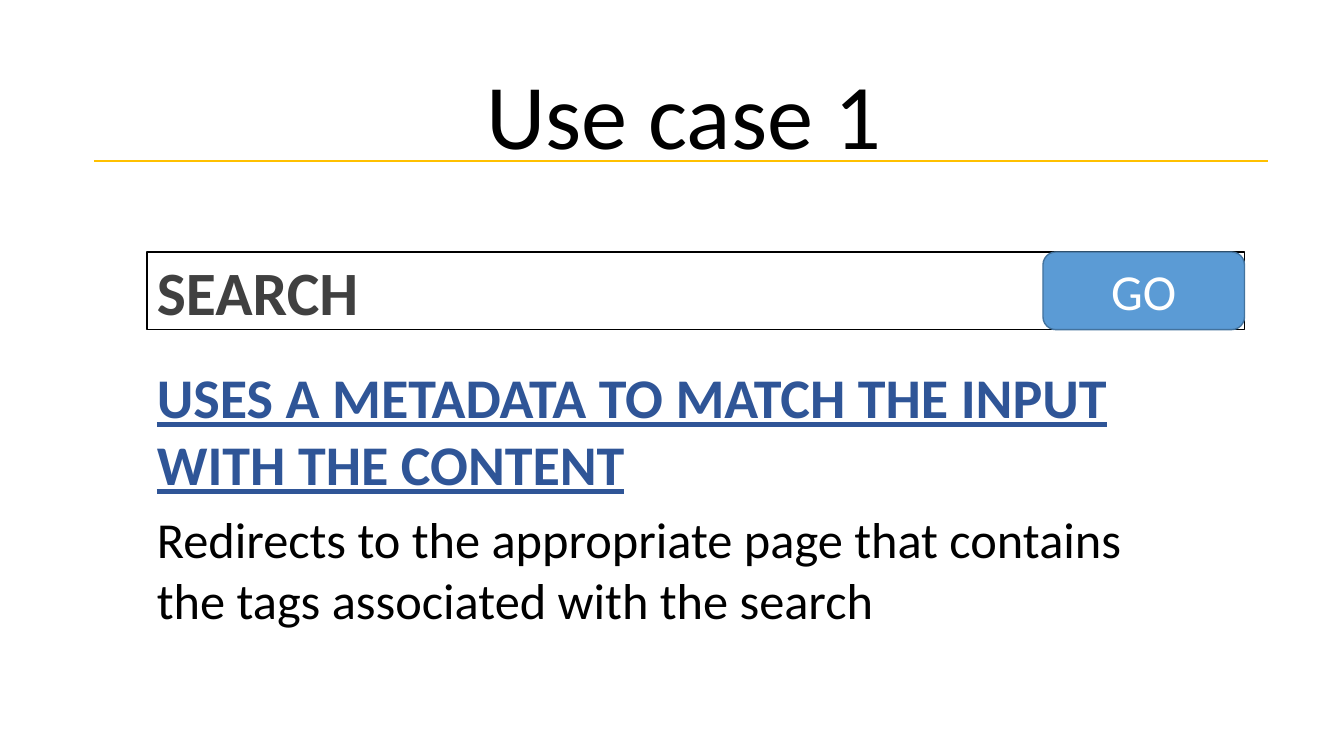
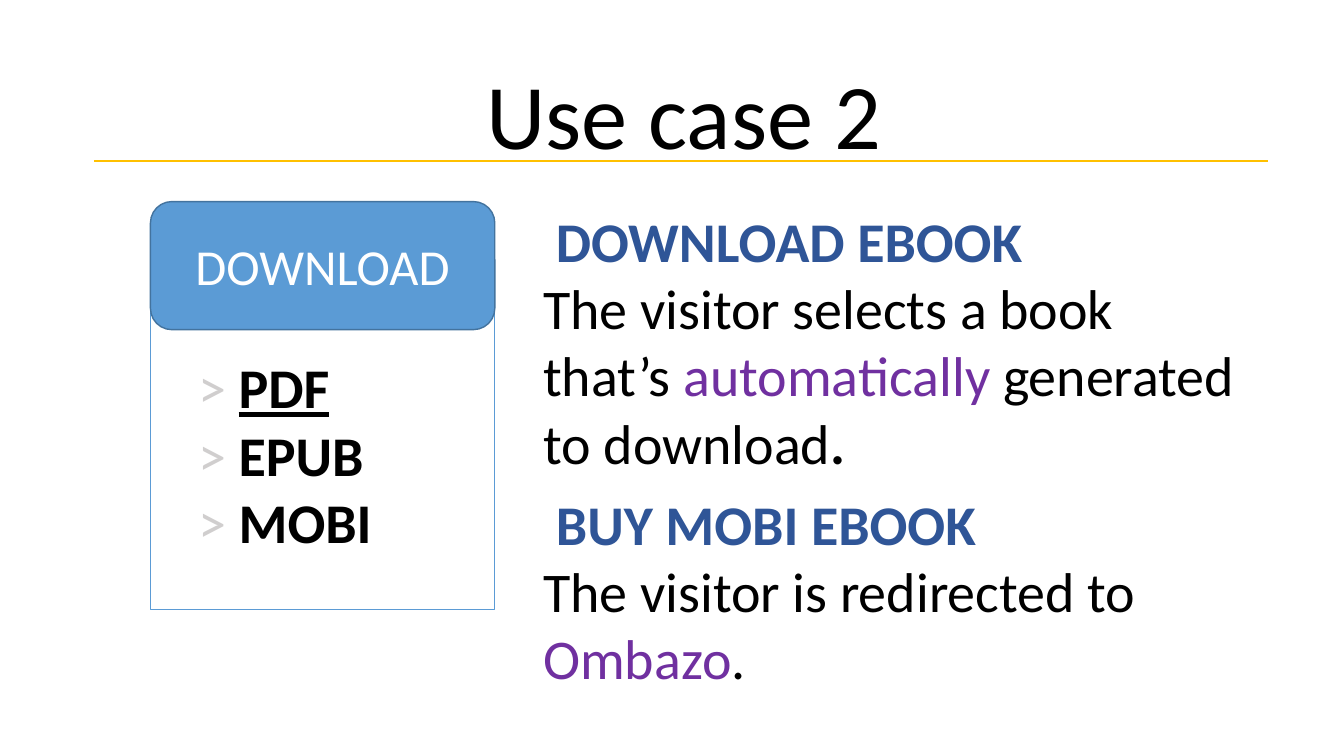
from lxml import etree
from pptx import Presentation
from pptx.dml.color import RGBColor
from pptx.enum.shapes import MSO_CONNECTOR, MSO_SHAPE
from pptx.enum.text import MSO_ANCHOR, PP_ALIGN
from pptx.oxml.ns import qn
from pptx.util import Pt

RECT, ROUNDED = MSO_SHAPE.RECTANGLE, MSO_SHAPE.ROUNDED_RECTANGLE
LEFT, CENTER = PP_ALIGN.LEFT, PP_ALIGN.CENTER

FONT = "Calibri"
BLACK = RGBColor(0x00, 0x00, 0x00)
WHITE = RGBColor(0xFF, 0xFF, 0xFF)
DARK_GREY = RGBColor(0x40, 0x40, 0x40)
LIGHT_GREY = RGBColor(0xD0, 0xCE, 0xCE)
GOLD = RGBColor(0xFF, 0xC0, 0x00)
BLUE = RGBColor(0x5B, 0x9B, 0xD5)
BLUE_EDGE = RGBColor(0x43, 0x73, 0x9E)
NAVY = RGBColor(0x2F, 0x55, 0x97)
PURPLE = RGBColor(0x70, 0x30, 0xA0)


def style_paragraph(p, size, color=BLACK, bold=False, underline=False, align=LEFT):
    p.alignment = align
    font = p.font
    font.name, font.size = FONT, Pt(size)
    font.bold, font.underline = bold, underline
    font.color.rgb = color


def add_run(p, text, color=None, bold=None, underline=None):
    r = p.add_run()
    r.text = text
    r.font.bold, r.font.underline = bold, underline
    if color is not None:
        r.font.color.rgb = color


def add_text_box(s, x, y, w, h):
    tf = s.shapes.add_textbox(Pt(x), Pt(y), Pt(w), Pt(h)).text_frame
    tf.word_wrap = True
    return tf


def add_text(s, x, y, w, h, text, size, **style):
    p = add_text_box(s, x, y, w, h).paragraphs[0]
    style_paragraph(p, size, **style)
    add_run(p, text)


def add_box(s, kind, x, y, w, h, fill, line, text="", size=36, **style):
    sp = s.shapes.add_shape(kind, Pt(x), Pt(y), Pt(w), Pt(h))
    sp.shadow.inherit = False
    sp.fill.solid()
    sp.fill.fore_color.rgb = fill
    sp.line.color.rgb = line
    sp.line.width = Pt(1)
    if text:
        tf = sp.text_frame
        tf.vertical_anchor = MSO_ANCHOR.MIDDLE
        style_paragraph(tf.paragraphs[0], size, **style)
        add_run(tf.paragraphs[0], text)


def add_button(s, x, y, w, h, text):
    add_box(s, ROUNDED, x, y, w, h, BLUE, BLUE_EDGE, text, color=WHITE, align=CENTER)


def add_titled_slide(prs, title):
    s = prs.slides.add_slide(prs.slide_layouts[6])
    add_text(s, 70, 37, 837, 87, title, 66, align=CENTER)
    rule = s.shapes.add_connector(MSO_CONNECTOR.STRAIGHT, Pt(67), Pt(115), Pt(906), Pt(115))
    rule.line.color.rgb = GOLD
    rule.line.width = Pt(1.5)
    etree.SubElement(rule._element.spPr, qn("a:effectLst"))
    return s


def add_format_list(s, x, y, w, h, formats):
    """List of (name, underline) pairs, each after a grey marker."""
    tf = add_text_box(s, x, y, w, h)
    for i, (name, underline) in enumerate(formats):
        p = tf.paragraphs[0] if i == 0 else tf.add_paragraph()
        style_paragraph(p, 40)
        add_run(p, "> ", LIGHT_GREY)
        add_run(p, name, bold=True, underline=underline)


def add_sections(s, x, y, w, h, sections):
    """Sections of a heading and the runs of its body paragraph."""
    tf = add_text_box(s, x, y, w, h)
    for i, (heading, runs) in enumerate(sections):
        p = tf.paragraphs[0] if i == 0 else tf.add_paragraph()
        if i:
            p.space_before = Pt(10)
        p._p.get_or_add_pPr().set("marL", str(Pt(9)))
        style_paragraph(p, 40, NAVY, bold=True)
        add_run(p, heading)
        p = tf.add_paragraph()
        style_paragraph(p, 40)
        for run in runs:
            add_run(p, *run)


def build_search(prs):
    s = add_titled_slide(prs, "Use case 1")
    x, y, w, h = 105, 180, 784, 55.5
    button_w = 144

    # Search bar with its button at the right end
    add_box(s, RECT, x, y, w, h, WHITE, BLACK, "SEARCH", 44, color=DARK_GREY, bold=True)
    add_button(s, x + w - button_w, y, button_w, h, "GO")

    # What the search does
    add_text(s, x, 255.5, w, 104, "USES A METADATA TO MATCH THE INPUT WITH THE CONTENT",
             40, color=NAVY, bold=True, underline=True)
    add_text(s, x, 359.5, 709, 94, "Redirects to the appropriate page that contains "
             "the tags associated with the search", 36)


def build_download(prs):
    s = add_titled_slide(prs, "Use case 2")
    x, y, w = 107.5, 144, 246

    # Download menu
    add_box(s, RECT, x, 173.5, w, 262, WHITE, BLUE)
    add_button(s, x, y, w, 91.5, "DOWNLOAD")
    add_format_list(s, 134.5, 248.5, 149, 153,
                    [("PDF", True), ("EPUB", False), ("MOBI", False)])

    # Explanation
    add_sections(s, 381, y, 513, 360, [
        ("DOWNLOAD EBOOK", [("The visitor selects a book that’s ",),
                            ("automatically", PURPLE),
                            (" generated to download",), (".", None, True)]),
        ("BUY MOBI EBOOK", [("The visitor is redirected to ",),
                            ("Ombazo", PURPLE), (".",)]),
    ])


def main():
    prs = Presentation()
    prs.slide_width, prs.slide_height = Pt(960), Pt(540)
    build_search(prs)
    build_download(prs)
    prs.save("out.pptx")


if __name__ == "__main__":
    main()
